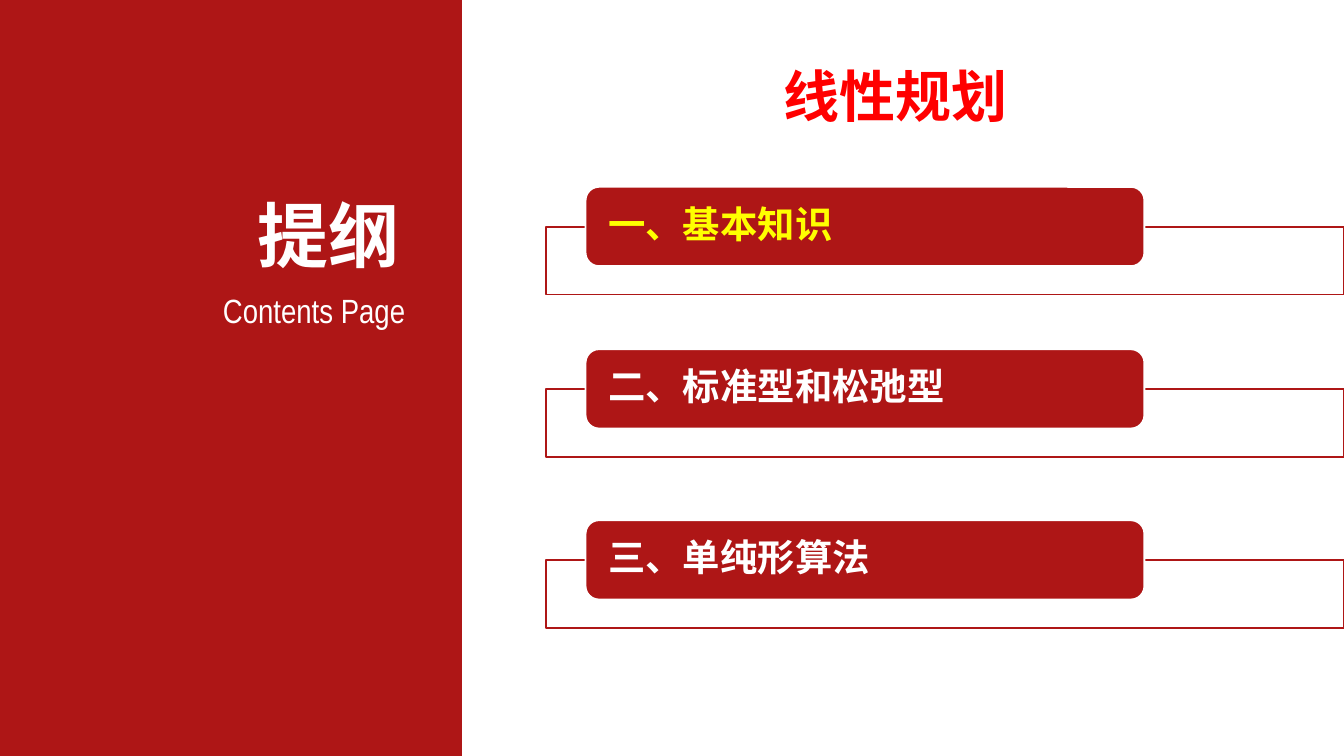
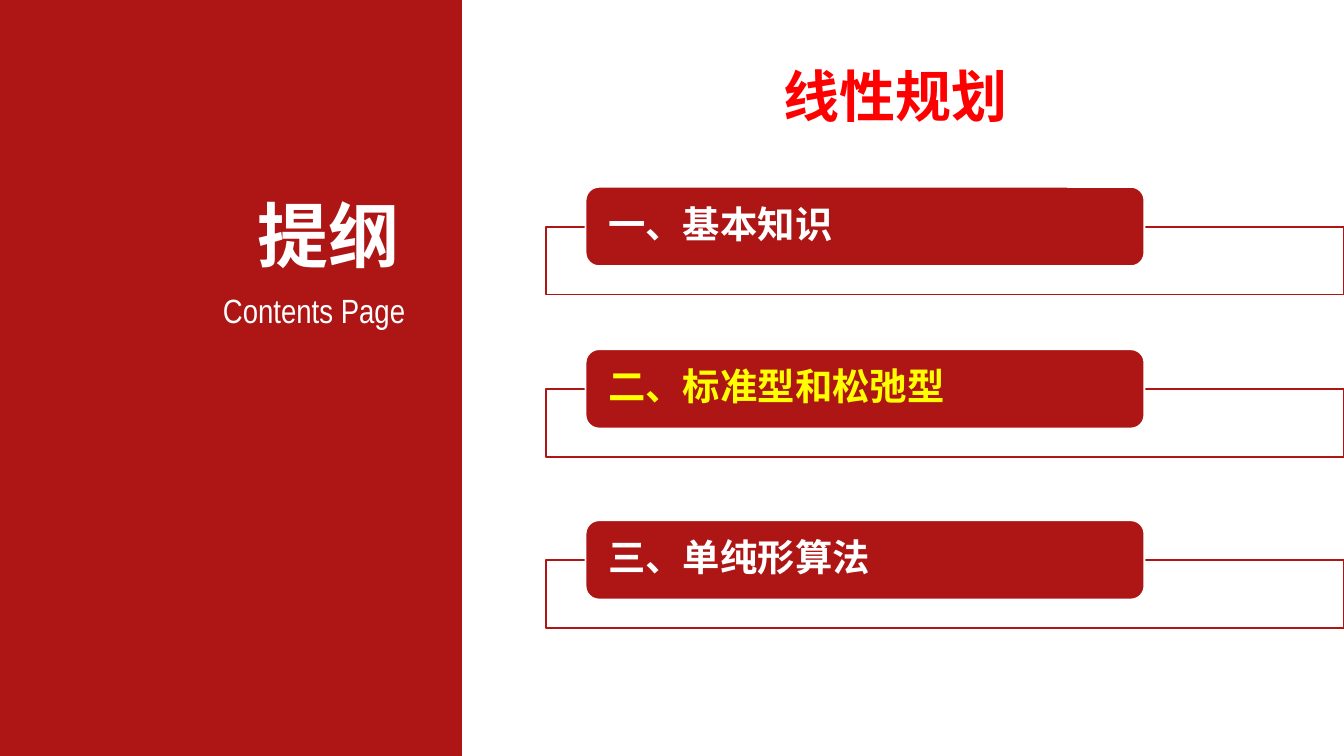
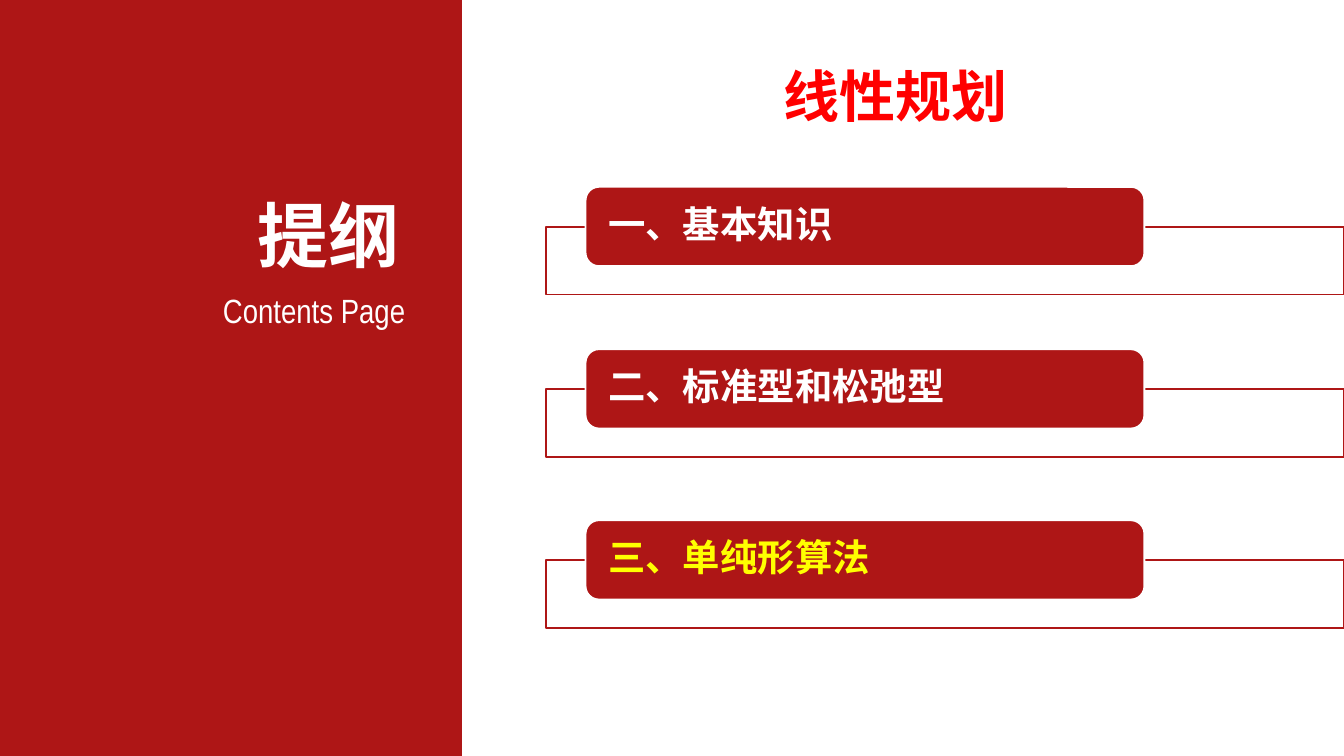
from pptx import Presentation
from pptx.dml.color import RGBColor
from pptx.enum.shapes import MSO_SHAPE as SHAPE
from pptx.enum.text import MSO_ANCHOR as ANCHOR, MSO_AUTO_SIZE as AUTO, PP_ALIGN as ALIGN
from pptx.oxml.ns import qn
from pptx.util import Pt
from lxml import etree

COLORS = {
    "red": "AE1616",
    "title": "FF0000",
    "current": "FFFF00",
    "white": "FFFFFF",
}
SLIDE_W, SLIDE_H = 720, 405
PANEL_W = 247.5
TOPICS = ["一、基本知识", "二、标准型和松弛型", "三、单纯形算法"]
TOPIC_TOPS = [100.1, 187.1, 278.7]
TOPIC_LEFT = 292.3


def rgb(name):
    return RGBColor.from_string(COLORS[name])


def add_box(s, box, fill, line=None, shape=SHAPE.RECTANGLE):
    sp = s.shapes.add_shape(shape, *map(Pt, box))
    sp.shadow.inherit = False
    sp.fill.solid()
    sp.fill.fore_color.rgb = rgb(fill)
    if line:
        sp.line.color.rgb = rgb(line)
        sp.line.width = Pt(1)
    else:
        sp.line.fill.background()
    return sp


def write(sp, text, font, size, color, align, bold=True, insets=(7.2, 3.6),
          anchor=ANCHOR.MIDDLE):
    tf = sp.text_frame
    tf.word_wrap = True
    tf.vertical_anchor = anchor
    tf.margin_left = tf.margin_right = Pt(insets[0])
    tf.margin_top = tf.margin_bottom = Pt(insets[1])
    p = tf.paragraphs[0]
    p.text = text
    p.alignment = align
    p.font.name = font
    p.font.size = Pt(size)
    p.font.bold = bold
    p.font.color.rgb = rgb(color)
    return p


def add_text(s, box, *args, **kwargs):
    sp = s.shapes.add_textbox(*map(Pt, box))
    return sp, write(sp, *args, **kwargs)


def add_panel(s, x, y, w, h):
    add_box(s, (x, y, w, h), "red")
    # English subtitle, then heading
    labels = [
        ((x + 24.5, y + 152.6, 198, 27.4), "Contents Page", "Arial Narrow", 18, False),
        ((x + 79.2, y + 100.1, 140.4, 51.8), "提纲", "Arial", 38, True),
    ]
    for box, text, font, size, bold in labels:
        sp, _ = add_text(s, box, text, font, size, "white", ALIGN.RIGHT, bold,
                         insets=(5.4, 2.7), anchor=ANCHOR.TOP)
        sp.text_frame.auto_size = AUTO.SHAPE_TO_FIT_TEXT


def add_title(s, x, y, w, h):
    _, p = add_text(s, (x, y, w, h), "线性规划", "Arial", 30, "title", ALIGN.CENTER)
    p.line_spacing = 1.5


def add_topic(s, x, y, w, text, font, color):
    # Thin frame behind the bar
    frame = add_box(s, (x, y + 21.4, w, 36.3), "white", "red")
    clr = frame.fill._xPr.find(qn("a:solidFill"))[0]
    etree.SubElement(clr, qn("a:alpha"), val="90000")
    # Rounded bar with the topic
    bar = add_box(s, (x + 21.4, y, 299.4, 42.5), "red", "white", SHAPE.ROUNDED_RECTANGLE)
    bar.adjustments[0] = 0.17
    p = write(bar, text, font, 20, color, ALIGN.LEFT, insets=(10, 1.4))
    p.line_spacing = 0.9
    p.space_after = Pt(7)


def add_outline_slide(prs, current):
    s = prs.slides.add_slide(prs.slide_layouts[6])
    add_panel(s, 0, 0, PANEL_W, SLIDE_H)
    add_title(s, PANEL_W, -1.4, 464.4, 87.1)
    for i, (text, top) in enumerate(zip(TOPICS, TOPIC_TOPS)):
        font = "Cabin" if i <= current else "Noto Sans CJK SC"
        color = "current" if i == current else "white"
        add_topic(s, TOPIC_LEFT, top, SLIDE_W - TOPIC_LEFT, text, font, color)


def main():
    prs = Presentation()
    prs.slide_width, prs.slide_height = Pt(SLIDE_W), Pt(SLIDE_H)
    for current in range(len(TOPICS)):
        add_outline_slide(prs, current)
    prs.save("out.pptx")


if __name__ == "__main__":
    main()
